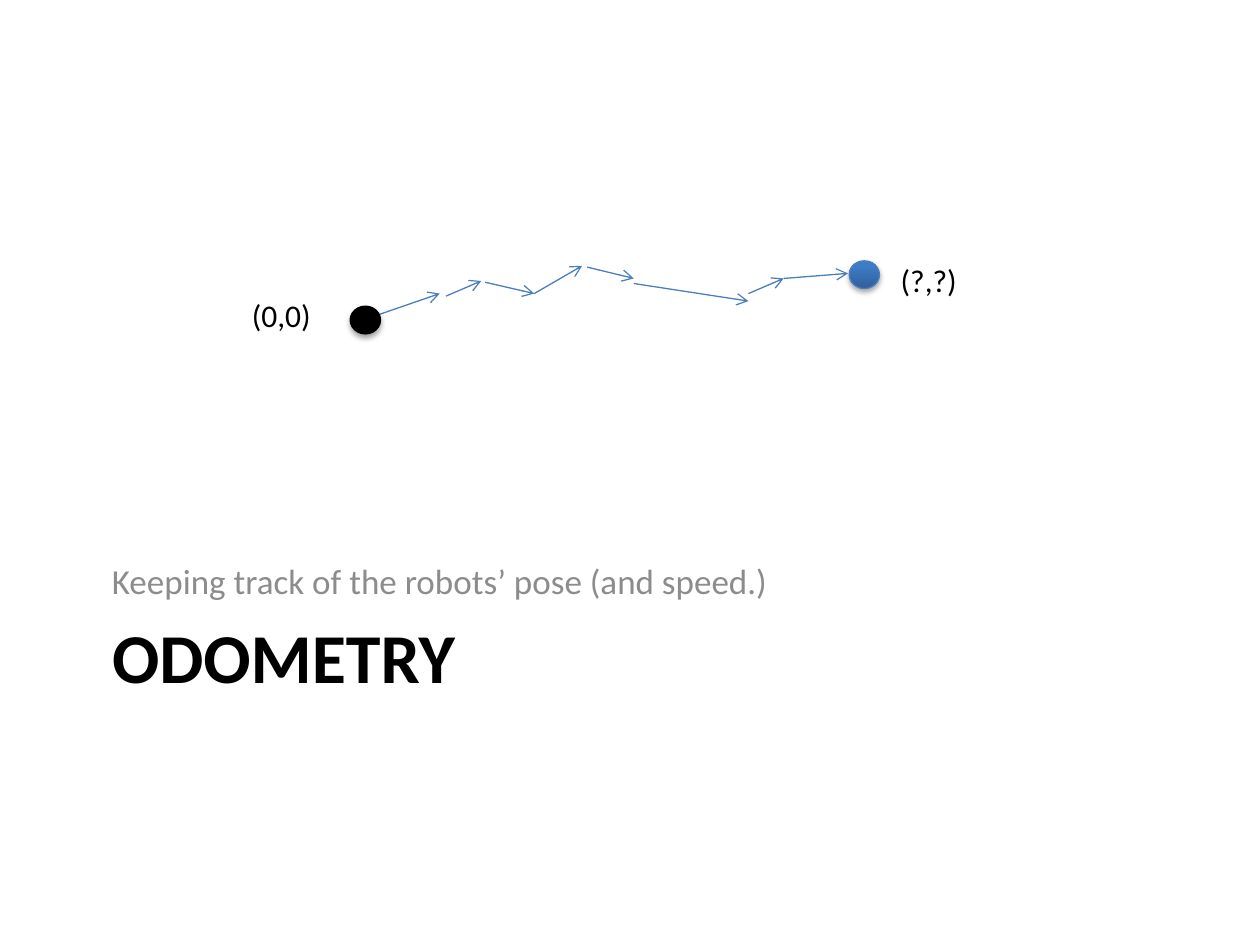
from lxml import etree
from pptx import Presentation
from pptx.dml.color import RGBColor
from pptx.enum.shapes import MSO_CONNECTOR, MSO_SHAPE
from pptx.enum.text import MSO_ANCHOR, MSO_AUTO_SIZE, PP_ALIGN
from pptx.oxml.ns import qn
from pptx.util import Inches, Pt

STRAIGHT, OVAL = MSO_CONNECTOR.STRAIGHT, MSO_SHAPE.OVAL
TOP, BOTTOM, LEFT = MSO_ANCHOR.TOP, MSO_ANCHOR.BOTTOM, PP_ALIGN.LEFT
FIT_SHAPE, NO_FIT = MSO_AUTO_SIZE.SHAPE_TO_FIT_TEXT, MSO_AUTO_SIZE.NONE
COLORS = {"black": "000000", "gray": "8C8C8C", "path": "4B7EBC",
          "dark": "2F5F99", "light": "3D7CC7"}


def color(name):
    return RGBColor.from_string(COLORS[name])


def write(box, text, size, ink, anchor=TOP, bold=False):
    frame = box.text_frame
    frame.vertical_anchor = anchor
    para = frame.paragraphs[0]
    para.alignment = LEFT
    span = para.add_run()
    span.text = text
    span.font.name = "Calibri"
    span.font.size = Pt(size)
    span.font.bold = bold
    span.font.color.rgb = color(ink)
    return frame


deck = Presentation()
deck.slide_width, deck.slide_height = Inches(10), Inches(7.5)
page = deck.slides.add_slide(deck.slide_layouts[5])

# Title, with the subtitle ending where it begins
left, split, width = Inches(0.79), Inches(4.82), Inches(8.5)
title = page.shapes.title
title.left, title.top, title.width, title.height = left, split, width, Inches(1.49)
write(title, "ODOMETRY", 40, "black", bold=True).auto_size = NO_FIT

height = Inches(1.64)
subtitle = page.shapes.add_textbox(left, split - height, width, height)
frame = write(subtitle, "Keeping track of the robots’ pose (and speed.)", 20, "gray", BOTTOM)
frame.word_wrap = True
frame.paragraphs[0].space_before = Pt(4)

# Measured steps of the robot
diagram = page.shapes.add_group_shape().shapes
steps = [
    (2.94, 2.52, 3.49, 2.33), (3.54, 2.35, 3.82, 2.23),
    (3.85, 2.24, 4.24, 2.33), (4.24, 2.33, 4.62, 2.11),
    (4.66, 2.12, 5.03, 2.21), (5.03, 2.25, 5.94, 2.39),
    (5.94, 2.33, 6.22, 2.21), (6.22, 2.21, 6.73, 2.17),
]
for step in steps:
    arrow = diagram.add_connector(STRAIGHT, *[Inches(value) for value in step])
    arrow.line.color.rgb = color("path")
    arrow.line.width = Pt(0.75)
    etree.SubElement(arrow.line._get_or_add_ln(), qn("a:tailEnd"), type="arrow")
    etree.SubElement(arrow._element.spPr, qn("a:effectLst"))

# Known start and estimated end
for x, y, edge in [(2.78, 2.43, "black"), (6.74, 2.07, "path")]:
    dot = diagram.add_shape(OVAL, Inches(x), Inches(y), Inches(0.24), Inches(0.22))
    if edge == "black":
        dot.fill.solid()
        dot.fill.fore_color.rgb = color("black")
    else:
        dot.fill.gradient()
        dot.fill.gradient_angle = 90
        for stop, shade, place in zip(dot.fill.gradient_stops, ("dark", "light"), (0, 0.8)):
            stop.color.rgb = color(shade)
            stop.position = place
    dot.line.color.rgb = color(edge)
    dot.line.width = Pt(0.75)
    dot.shadow.inherit = False
    effects = dot._element.spPr.find(qn("a:effectLst"))
    shadow = etree.SubElement(effects, qn("a:outerShdw"), blurRad=str(Pt(3.1)),
                              dist=str(Pt(1.8)), dir="5400000", rotWithShape="0")
    tint = etree.SubElement(shadow, qn("a:srgbClr"), val=COLORS["black"])
    etree.SubElement(tint, qn("a:alpha"), val="35000")

# Coordinates
for x, y, wide, text in [(1.9, 2.3, 0.68, "(0,0)"), (7.05, 2.02, 0.65, "(?,?)")]:
    label = diagram.add_textbox(Inches(x), Inches(y), Inches(wide), Inches(0.4))
    frame = write(label, text, 18, "black")
    frame.word_wrap = False
    frame.auto_size = FIT_SHAPE

deck.save("out.pptx")
